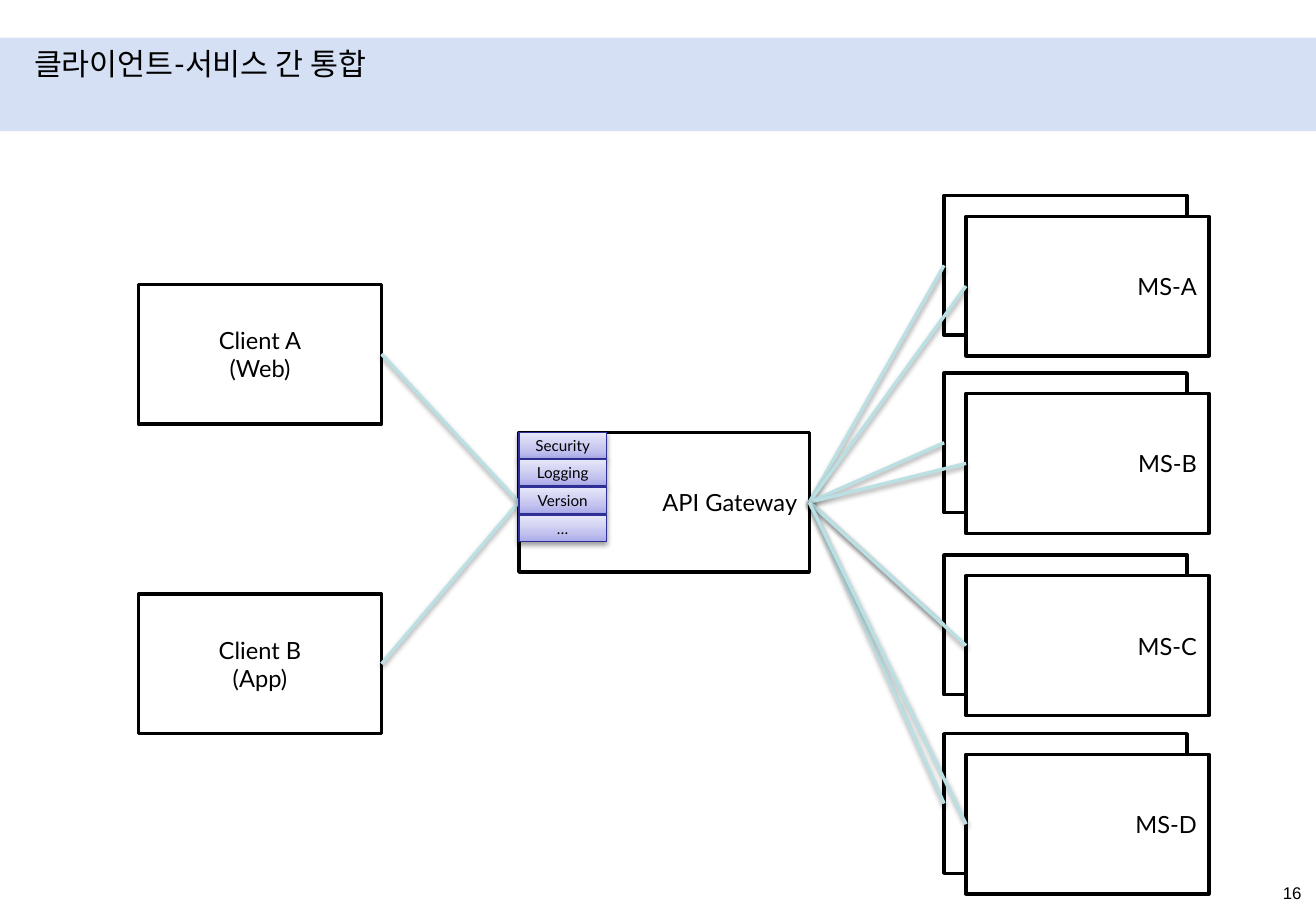
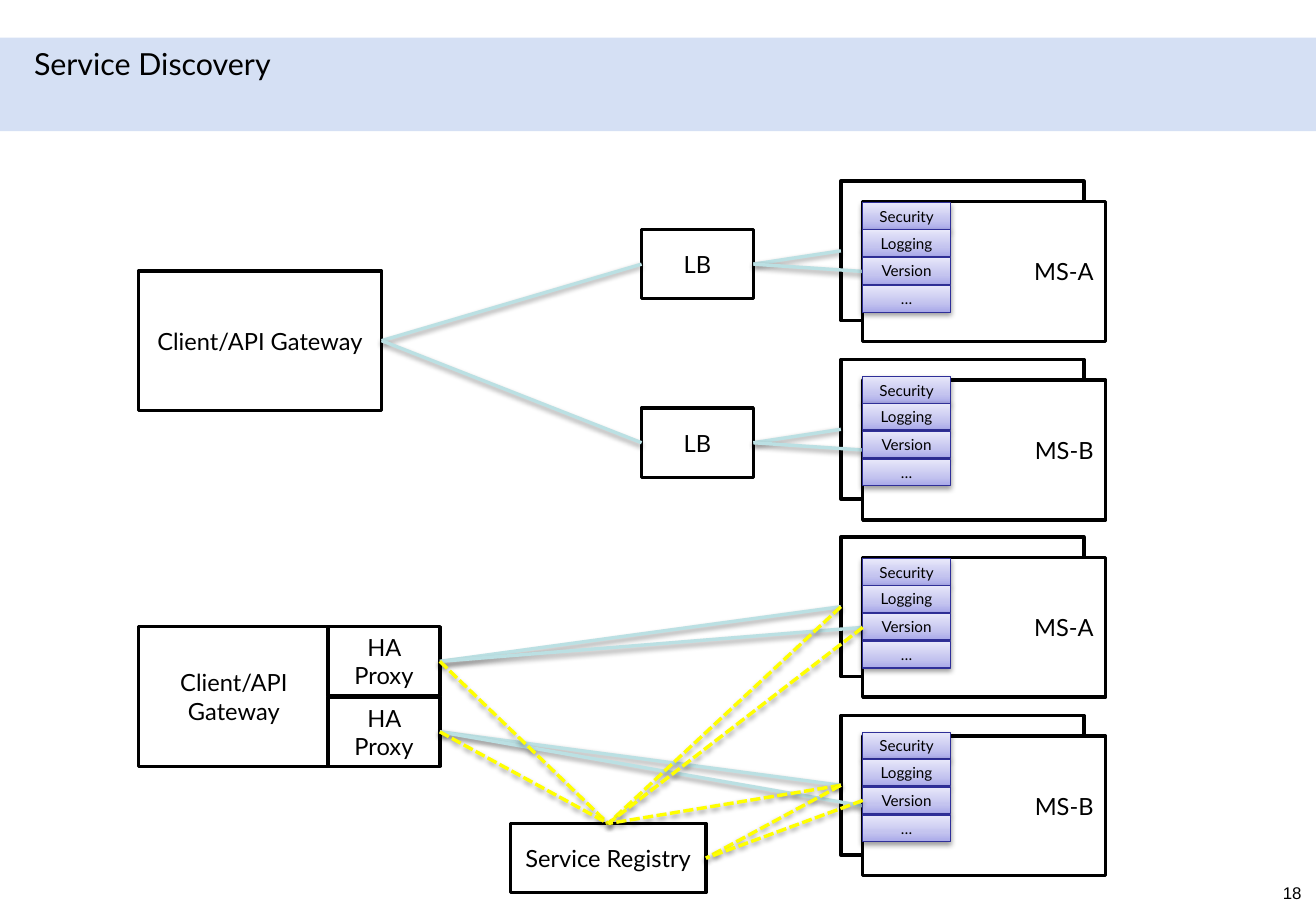
from copy import deepcopy

from lxml.etree import SubElement
from pptx import Presentation
from pptx.dml.color import RGBColor
from pptx.enum.dml import MSO_LINE
from pptx.enum.shapes import MSO_CONNECTOR as Connector, MSO_SHAPE as Preset
from pptx.enum.text import MSO_ANCHOR as Anchor, MSO_AUTO_SIZE as AutoSize, PP_ALIGN as Align
from pptx.oxml.ns import qn
from pptx.util import Pt

PX = 9144  # EMU in one px, 100 px to the inch
WIDTH, HEIGHT = 1083, 750
TOP, LEFT, RIGHT = 0, 1, 3  # connection sites of a rectangle


def px(*lengths):
    return [length * PX for length in lengths]


def color(code):
    return RGBColor.from_string(code)


class Sketch:
    """Shared style and the slide being drawn."""

    FONT, NUMBER_FONT = "Lato", "Arial"
    INK, PAPER, BAND = "000000", "FFFFFF", "B5C8ED"
    CALL, LOOKUP, CHIP_EDGE = "BBE0E3", "FFFF00", "2F2F98"
    CHIP_STOPS = ((0, "A9A9E9"), (0.35, "C4C4EF"), (1, "E8E8FA"))
    CHIPS = (("Security", 0), ("Logging", 22), ("Version", 45), ("…", 68))

    def __init__(self):
        self.deck = Presentation()
        self.deck.slide_width, self.deck.slide_height = px(WIDTH, HEIGHT)
        self.page = None

    def new_page(self, title, number):
        self.page = self.deck.slides.add_slide(self.deck.slide_layouts[5])

        # Band behind the title
        band = self.rect(0, 31, WIDTH, 77, self.BAND)
        band.line.fill.background()
        tint = band._element.spPr.find(qn("a:solidFill"))[0]
        SubElement(tint, qn("a:alpha"), val="56000")

        # Title, raised above the band
        holder = self.page.shapes.title
        holder.left, holder.top, holder.width, holder.height = px(18, 32, 1066, 43)
        self.page.shapes._spTree.append(holder._element)
        self.set_text(holder, title, 18, Align.LEFT, Anchor.TOP)

        # Page number
        box = self.page.shapes.add_textbox(*px(828, 722, 253, 35))
        self.set_text(box, str(number), 10, Align.RIGHT, Anchor.TOP, self.NUMBER_FONT)

    def set_text(self, shape, text, size, align, anchor=Anchor.MIDDLE, font=FONT):
        frame = shape.text_frame
        frame.word_wrap = True
        frame.auto_size = AutoSize.NONE
        frame.vertical_anchor = anchor
        frame.text = text
        for paragraph in frame.paragraphs:
            paragraph.alignment = align
            paragraph.font.name = font
            paragraph.font.size = Pt(size)
            paragraph.font.color.rgb = color(self.INK)

    def rect(self, left, top, width, height, fill):
        shape = self.page.shapes.add_shape(Preset.RECTANGLE, *px(left, top, width, height))
        shape.shadow.inherit = False
        shape.fill.solid()
        shape.fill.fore_color.rgb = color(fill)
        return shape

    def box(self, left, top, text="", width=200, height=115, align=Align.CENTER):
        shape = self.rect(left, top, width, height, self.PAPER)
        shape.line.color.rgb = color(self.INK)
        shape.line.width = Pt(2)
        if text:
            self.set_text(shape, text, 14, align)
        return shape

    def service(self, left, top, name):
        """Two stacked instances of one service: back and front."""
        return self.box(left, top), self.box(left + 18, top + 17, name, align=Align.RIGHT)

    def chips(self, left, top):
        """Column of cross-cutting concerns, returned by name."""
        column = {}
        for name, offset in self.CHIPS:
            chip = self.rect(left, top + offset, 72, 22, self.PAPER)
            chip.fill.gradient()
            chip.fill.gradient_angle = 90
            stops = chip._element.spPr.find(qn("a:gradFill")).find(qn("a:gsLst"))
            stops.append(deepcopy(stops[0]))
            for stop, (position, tone) in zip(chip.fill.gradient_stops, self.CHIP_STOPS):
                stop.position = position
                stop.color.rgb = color(tone)
            chip.line.color.rgb = color(self.CHIP_EDGE)
            chip.line.width = Pt(0.75)
            self.cast_shadow(chip)
            self.set_text(chip, name, 9, Align.CENTER)
            column[name] = chip
        return column

    def cast_shadow(self, shape):
        properties = shape._element.spPr
        effects = properties.find(qn("a:effectLst"))
        if effects is None:
            effects = SubElement(properties, qn("a:effectLst"))
        shadow = SubElement(effects, qn("a:outerShdw"), blurRad="40000", dist="20000",
                            dir="5400000", rotWithShape="0")
        shade = SubElement(shadow, qn("a:srgbClr"), val=self.INK)
        SubElement(shade, qn("a:alpha"), val="38000")

    def link(self, start, end, start_site=RIGHT, end_site=LEFT, lookup=False):
        line = self.page.shapes.add_connector(Connector.STRAIGHT, 0, 0, 0, 0)
        line.begin_connect(start, start_site)
        line.end_connect(end, end_site)
        line.line.color.rgb = color(self.LOOKUP if lookup else self.CALL)
        line.line.width = Pt(2)
        if lookup:
            line.line.dash_style = MSO_LINE.SQUARE_DOT
        self.cast_shadow(line)


def draw_integration(sketch):
    sketch.new_page("클라이언트-서비스 간 통합", 16)
    gateway = sketch.box(427, 356, "API Gateway", width=239, align=Align.RIGHT)

    # Clients
    for top, name in ((234, "Client A\n(Web)"), (489, "Client B\n(App)")):
        sketch.link(sketch.box(114, top, name), gateway)

    # Services
    for top, name in ((161, "MS-A"), (307, "MS-B"), (457, "MS-C"), (604, "MS-D")):
        for instance in sketch.service(777, top, name):
            sketch.link(gateway, instance)

    sketch.chips(427, 356)


def draw_discovery(sketch):
    sketch.new_page("Service Discovery", 18)

    # Upper half: a load balancer before each service
    client = sketch.box(114, 223, "Client/API Gateway")
    for top, name, balancer_top, chips_top in ((149, "MS-A", 189, 167),
                                               (296, "MS-B", 336, 310)):
        instances = sketch.service(692, top, name)
        balancer = sketch.box(528, balancer_top, "LB", 92, 57)
        for instance in instances:
            sketch.link(balancer, instance)
        sketch.link(client, balancer)
        sketch.chips(710, chips_top)

    # Lower half: proxies inside the client
    sketch.box(114, 516, "Client/API Gateway", width=157)
    proxies, services, columns = [], [], []
    for top, name, proxy_top, chips_top in ((442, "MS-A", 516, 460),
                                            (589, "MS-B", 574, 603)):
        instances = sketch.service(692, top, name)
        proxy = sketch.box(270, proxy_top, "HA Proxy", 92, 57)
        for instance in instances:
            sketch.link(proxy, instance)
        proxies.append(proxy)
        services.append(instances)
        columns.append(sketch.chips(710, chips_top))

    # Registry and its lookups
    registry = sketch.box(420, 678, "Service Registry", 161, 57)
    for proxy in proxies:
        sketch.link(proxy, registry, RIGHT, TOP, lookup=True)
    (back_a, front_a), (back_b, _) = services
    for instance in (back_a, front_a, back_b):
        sketch.link(instance, registry, LEFT, TOP, lookup=True)
    for source in (back_b, columns[1]["Version"]):
        sketch.link(source, registry, LEFT, RIGHT, lookup=True)


def main():
    sketch = Sketch()
    draw_integration(sketch)
    draw_discovery(sketch)
    sketch.deck.save("out.pptx")


if __name__ == "__main__":
    main()
